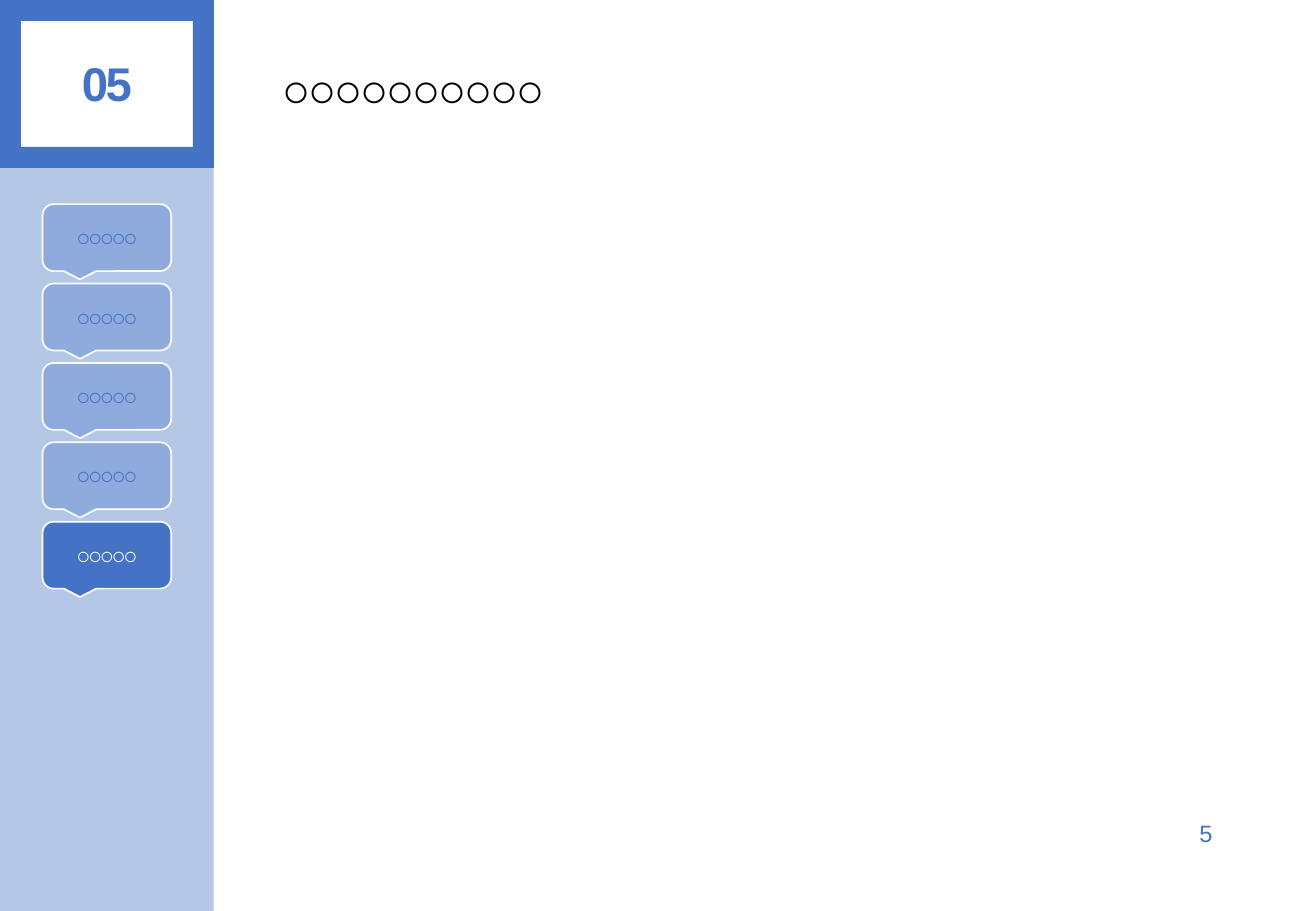
from pptx import Presentation
from pptx.dml.color import RGBColor
from pptx.enum.shapes import MSO_SHAPE
from pptx.enum.text import MSO_ANCHOR, MSO_AUTO_SIZE, PP_ALIGN
from pptx.util import Cm, Pt

RECT, FRAME = MSO_SHAPE.RECTANGLE, MSO_SHAPE.FRAME
BUBBLE = MSO_SHAPE.ROUNDED_RECTANGULAR_CALLOUT
LEFT, MID, RIGHT = PP_ALIGN.LEFT, PP_ALIGN.CENTER, PP_ALIGN.RIGHT
TOP, FIXED = MSO_ANCHOR.TOP, MSO_AUTO_SIZE.NONE
TITLE_ONLY = 5

COLORS = {
    "blue": "4472C4",
    "mid": "8FAADC",
    "pale": "B4C7E7",
    "white": "FFFFFF",
    "black": "000000",
}
STEPS = 5
PITCH = 1.66


def color(name):
    return RGBColor.from_string(COLORS[name])


def add_block(slide, kind, x, y, w, h, fill, line=None):
    block = slide.shapes.add_shape(kind, Cm(x), Cm(y), Cm(w), Cm(h))
    block.shadow.inherit = False
    block.fill.solid()
    block.fill.fore_color.rgb = color(fill)
    if line:
        block.line.color.rgb = color(line)
        block.line.width = Pt(1)
    else:
        block.line.fill.background()


def set_text(shape, text, size, tint, align, bold=True):
    frame = shape.text_frame
    frame.word_wrap = True
    frame.auto_size = FIXED
    frame.vertical_anchor = TOP
    frame.text = text
    para = frame.paragraphs[0]
    para.alignment = align
    font = para.font
    font.name = "Arial"
    font.size = Pt(size)
    font.bold = bold
    font.color.rgb = color(tint)
    # Tight letter spacing
    para._p.get_or_add_pPr().get_or_add_defRPr().set("spc", "-150")


def add_label(slide, x, y, w, h, text, size, tint, align, bold=True):
    box = slide.shapes.add_textbox(Cm(x), Cm(y), Cm(w), Cm(h))
    set_text(box, text, size, tint, align, bold)


def add_title(slide, text):
    title = slide.shapes.title
    title.left, title.top = Cm(5.64), Cm(1.14)
    title.width, title.height = Cm(13.28), Cm(1.45)
    set_text(title, text, 28, "black", LEFT)


def add_step(slide, index, active):
    y = 4.27 + index * PITCH
    fill, tint = ("blue", "white") if active else ("mid", "blue")
    add_block(slide, BUBBLE, 0.89, y, 2.69, 1.4, fill, "white")
    add_label(slide, 0.46, y + 0.27, 3.56, 0.86, "○○○○○", 14, tint, MID)


def main():
    deck = Presentation()
    deck.slide_width, deck.slide_height = Cm(27.51), Cm(19.05)
    slide = deck.slides.add_slide(deck.slide_layouts[TITLE_ONLY])

    # Side bar with section number
    add_block(slide, RECT, 0, 3.45, 4.47, 15.6, "pale")
    add_block(slide, FRAME, 0, 0, 4.47, 3.51, "blue")
    add_label(slide, 0.89, 1.02, 2.69, 1.45, "05", 28, "blue", MID)

    # Steps, the last one active
    for index in range(STEPS):
        add_step(slide, index, index == STEPS - 1)

    # Title and page number
    add_title(slide, "○○○○○○○○○○")
    add_label(slide, 24.46, 16.99, 1.14, 0.86, "5", 14, "blue", RIGHT, False)

    deck.save("out.pptx")


if __name__ == "__main__":
    main()
